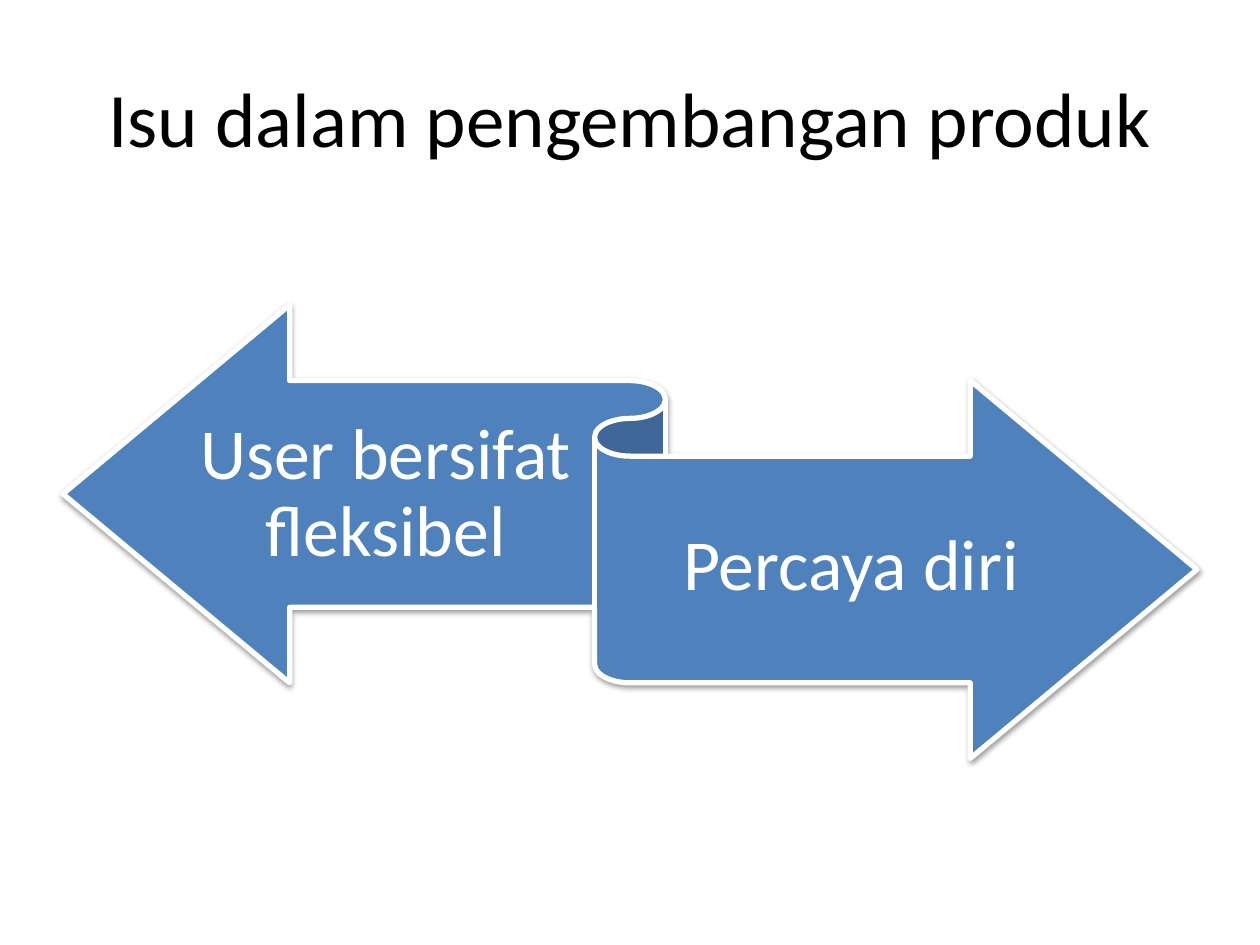
from lxml import etree
from pptx import Presentation, util as u
from pptx.dml.color import RGBColor
from pptx.enum import shapes, text
from pptx.oxml import ns


def color(hex_value):
    return RGBColor.from_string(hex_value)


def add_text(slide, content, left, top, width, height, size=41, fill="FFFFFF",
             line_spacing=1.0, inset_top=0.13, inset_bottom=0.13, inset_side=0):
    box = slide.shapes.add_textbox(u.Cm(left), u.Cm(top), u.Cm(width), u.Cm(height))
    frame = box.text_frame
    frame.word_wrap = True
    frame.vertical_anchor = text.MSO_ANCHOR.MIDDLE
    frame.margin_left = frame.margin_right = u.Cm(inset_side)
    frame.margin_top, frame.margin_bottom = u.Cm(inset_top), u.Cm(inset_bottom)
    paragraph = frame.paragraphs[0]
    paragraph.alignment = text.PP_ALIGN.CENTER
    paragraph.line_spacing = line_spacing
    run = paragraph.add_run()
    run.text = content
    run.font.name = "Calibri"
    run.font.size = u.Pt(size)
    run.font.color.rgb = color(fill)


presentation = Presentation()
presentation.slide_width, presentation.slide_height = u.Cm(25.4), u.Cm(19.05)
slide = presentation.slides.add_slide(presentation.slide_layouts[6])

# Title
add_text(slide, "Isu dalam pengembangan produk", 1.27, 0.76, 22.86, 3.18,
         size=44, fill="000000", inset_side=0.25)

# Two-way ribbon
ribbon = slide.shapes.add_shape(shapes.MSO_SHAPE.LEFT_RIGHT_RIBBON,
                                u.Cm(1.27), u.Cm(6.15), u.Cm(22.86), u.Cm(9.14))
ribbon.fill.solid()
ribbon.fill.fore_color.rgb = color("4F81BD")
ribbon.line.color.rgb = color("FFFFFF")
ribbon.line.width = u.Pt(3)

# Soft shadow below the ribbon
ribbon.shadow.inherit = False
effects = ribbon.element.spPr.find(ns.qn("a:effectLst"))
shadow = etree.SubElement(effects, ns.qn("a:outerShdw"), blurRad="40000",
                          dist="20000", dir="5400000", rotWithShape="0")
shadow_color = etree.SubElement(shadow, ns.qn("a:srgbClr"), val="000000")
etree.SubElement(shadow_color, ns.qn("a:alpha"), val="38000")

# Labels on the two arrows
for label, left, top, width in (("User bersifat fleksibel", 4.01, 7.75, 7.54),
                                ("Percaya diri", 12.7, 9.22, 8.92)):
    add_text(slide, label, left, top, width, 4.47, line_spacing=0.9,
             inset_top=0.41, inset_bottom=0.43)

presentation.save("out.pptx")
